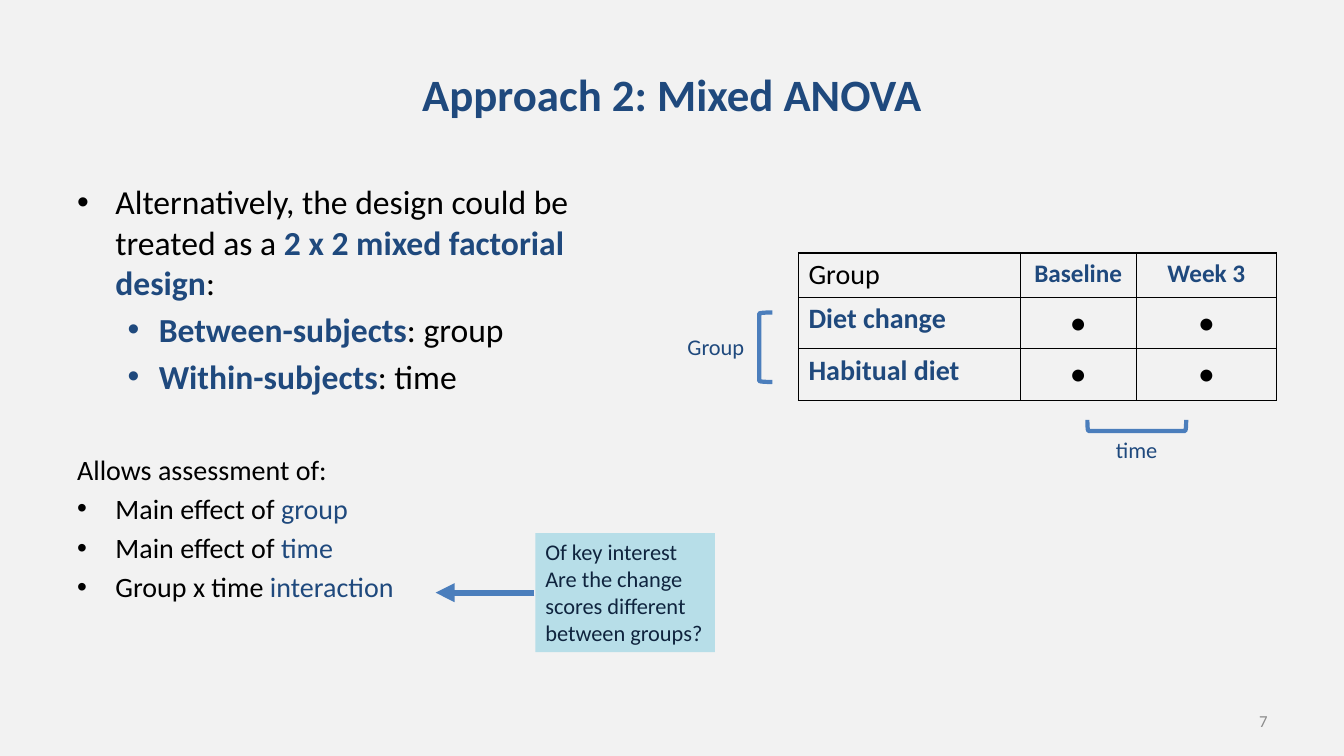
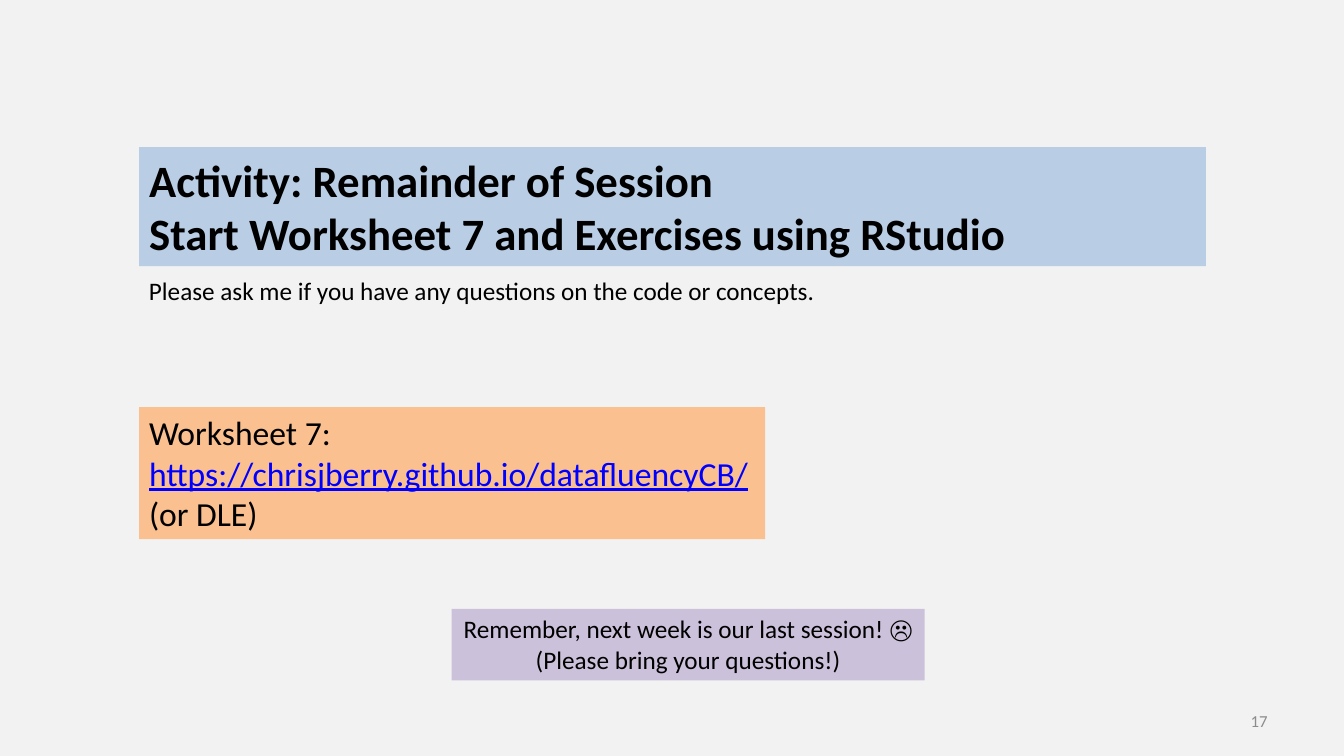
from dataclasses import dataclass

from lxml.etree import SubElement
from pptx import Presentation
from pptx.dml.color import RGBColor
from pptx.enum.shapes import MSO_CONNECTOR, MSO_SHAPE
from pptx.enum.text import MSO_ANCHOR, MSO_AUTO_SIZE, PP_ALIGN
from pptx.oxml.ns import qn
from pptx.util import Inches, Pt


@dataclass(frozen=True)
class Theme:
    font: str = "Calibri"
    background: RGBColor = RGBColor.from_string("F2F2F2")
    text: RGBColor = RGBColor.from_string("000000")
    accent: RGBColor = RGBColor.from_string("1F497D")
    dark: RGBColor = RGBColor.from_string("0F243E")
    line: RGBColor = RGBColor.from_string("4B7EBC")
    link: RGBColor = RGBColor.from_string("0000FF")
    muted: RGBColor = RGBColor.from_string("8C8C8C")
    callout: RGBColor = RGBColor.from_string("B7DEE8")
    band: RGBColor = RGBColor.from_string("B9CDE5")
    worksheet: RGBColor = RGBColor.from_string("FAC090")
    reminder: RGBColor = RGBColor.from_string("CCC1DA")
    title_size: int = 32
    body_size: int = 24
    detail_size: int = 20
    note_size: int = 18
    label_size: int = 16
    number_size: int = 12


THEME = Theme()
ACCENT = {"color": THEME.accent}
STRONG = {"color": THEME.accent, "bold": True}


@dataclass(frozen=True)
class Box:
    left: int
    top: int
    width: int
    height: int

    def region(self, left, top, width, height):
        return Box(
            round(self.left + self.width * left / 100),
            round(self.top + self.height * top / 100),
            round(self.width * width / 100),
            round(self.height * height / 100),
        )

    @property
    def place(self):
        return self.left, self.top, self.width, self.height


PAGE = Box(0, 0, Inches(13.33), Inches(7.5))


def write(frame, *runs, size, color=THEME.text, bold=False, underline=False,
          align=PP_ALIGN.LEFT, before=0, bullet=None):
    paragraph = frame.paragraphs[0]
    if paragraph.runs:
        paragraph = frame.add_paragraph()
    if bullet:
        margin, hanging = bullet
        properties = paragraph._p.get_or_add_pPr()
        properties.set("marL", str(Inches(margin)))
        properties.set("indent", str(-Inches(hanging)))
        SubElement(properties, qn("a:buFont"), typeface="Arial")
        SubElement(properties, qn("a:buChar"), char="•")
    paragraph.alignment = align
    paragraph.space_before = Pt(before)
    for item in runs:
        text, changes = (item, {}) if isinstance(item, str) else item
        run = paragraph.add_run()
        run.text = text
        run.font.name = THEME.font
        run.font.size = Pt(size)
        run.font.color.rgb = changes.get("color", color)
        run.font.bold = changes.get("bold", bold)
        run.font.underline = underline


def add_text_area(slide, box, fill=None, wrap=True, anchor=MSO_ANCHOR.TOP):
    shape = slide.shapes.add_textbox(*box.place)
    if fill is not None:
        shape.fill.solid()
        shape.fill.fore_color.rgb = fill
    frame = shape.text_frame
    frame.word_wrap = wrap
    frame.vertical_anchor = anchor
    return frame


def add_title(slide, box, *lines, color, align, fill=None, anchor=MSO_ANCHOR.MIDDLE):
    title = slide.shapes.title
    title.left, title.top, title.width, title.height = box.place
    if fill is not None:
        title.fill.solid()
        title.fill.fore_color.rgb = fill
    frame = title.text_frame
    frame.auto_size = MSO_AUTO_SIZE.NONE
    frame.vertical_anchor = anchor
    for line in lines:
        write(frame, line, size=THEME.title_size, color=color, bold=True, align=align)


def add_base_slide(presentation, number):
    slide = presentation.slides.add_slide(presentation.slide_layouts[5])
    frame = add_text_area(slide, PAGE.region(71.72, 92.67, 23.33, 5.33),
                          anchor=MSO_ANCHOR.MIDDLE)
    write(frame, str(number), size=THEME.number_size, color=THEME.muted,
          align=PP_ALIGN.RIGHT)
    return slide


def add_bracket(slide, box, rotation=0):
    bracket = slide.shapes.add_shape(MSO_SHAPE.LEFT_BRACKET, *box.place)
    bracket.shadow.inherit = False
    bracket.fill.background()
    bracket.line.color.rgb = THEME.line
    bracket.line.width = Pt(3)
    bracket.rotation = rotation


def add_label(slide, box, text):
    frame = add_text_area(slide, box, wrap=False)
    write(frame, text, size=THEME.label_size, **ACCENT)


def format_cell(cell, text, **style):
    properties = cell._tc.get_or_add_tcPr()
    for side in ("L", "R", "T", "B"):
        border = SubElement(properties, qn(f"a:ln{side}"), w=str(Pt(1)))
        fill = SubElement(border, qn("a:solidFill"))
        SubElement(fill, qn("a:srgbClr"), val=str(THEME.text))
    cell.fill.background()
    write(cell.text_frame, text, **style)


def add_design_table(slide, box):
    rows = (
        ("Group", "Baseline", "Week 3"),
        ("Diet change", "•", "•"),
        ("Habitual diet", "•", "•"),
    )
    table = slide.shapes.add_table(3, 3, *box.place).table
    table.first_row = False
    table.horz_banding = False
    for column, share in zip(table.columns, (46.4, 24.3, 29.3)):
        column.width = round(box.width * share / 100)
    for row, share in zip(table.rows, (30, 35, 35)):
        row.height = round(box.height * share / 100)
    corner = {"size": THEME.detail_size}
    column_head = {"size": THEME.note_size, "align": PP_ALIGN.CENTER, **STRONG}
    row_head = {"size": THEME.detail_size, **STRONG}
    mark = {"size": THEME.body_size, "align": PP_ALIGN.CENTER}
    for row_index, row in enumerate(rows):
        first, other = (row_head, mark) if row_index else (corner, column_head)
        for column_index, text in enumerate(row):
            style = other if column_index else first
            format_cell(table.cell(row_index, column_index), text, **style)


def add_design_panel(slide, box):
    add_design_table(slide, box.region(20.2, 0, 79.8, 66.36))
    add_label(slide, box.region(0, 34.1, 13, 16.8), "Group")
    add_bracket(slide, box.region(13.64, 26.82, 2.19, 31.36))
    add_label(slide, box.region(71.55, 80.45, 10.44, 16.8), "time")
    add_bracket(slide, box.region(75.76, 55.45, 1.85, 44.55), rotation=270)


def add_design_points(slide, box):
    frame = add_text_area(slide, box)
    main_bullet, nested_bullet = (0.38, 0.38), (0.81, 0.31)
    write(frame, "Alternatively, the design could be treated as a ",
          ("2 x 2 mixed factorial design", STRONG), ":",
          size=THEME.body_size, bullet=main_bullet)
    for factor, variable in (("Between-subjects", "group"), ("Within-subjects", "time")):
        write(frame, (factor, STRONG), f": {variable}",
              size=THEME.body_size, before=4.8, bullet=nested_bullet)
    write(frame, "Allows assessment of:", size=THEME.detail_size, before=40)
    for lead, effect in (("Main effect of ", "group"), ("Main effect of ", "time"),
                         ("Group x time ", "interaction")):
        write(frame, lead, (effect, ACCENT),
              size=THEME.detail_size, before=4, bullet=main_bullet)


def add_callout(slide, box):
    shaft = box.region(0, 50, 35.4, 0)
    arrow = slide.shapes.add_connector(
        MSO_CONNECTOR.STRAIGHT, shaft.left + shaft.width, shaft.top,
        shaft.left, shaft.top)
    arrow.line.color.rgb = THEME.line
    arrow.line.width = Pt(4.5)
    properties = arrow._element.spPr
    SubElement(properties.find(qn("a:ln")), qn("a:tailEnd"), type="triangle")
    SubElement(properties, qn("a:effectLst"))
    frame = add_text_area(slide, box.region(35.74, 0, 64.26, 100), fill=THEME.callout)
    for line in ("Of key interest", "Are the change scores different between groups?"):
        write(frame, line, size=THEME.label_size, color=THEME.dark)


def build_design_slide(presentation):
    slide = add_base_slide(presentation, 7)
    add_title(slide, PAGE.region(5, 4, 90, 16.67), "Approach 2: Mixed ANOVA",
              color=THEME.accent, align=PP_ALIGN.CENTER)
    add_design_points(slide, PAGE.region(5, 23.33, 44.7, 66))
    add_design_panel(slide, PAGE.region(50.41, 33.47, 44.56, 29.33))
    add_callout(slide, PAGE.region(32.41, 70.53, 20.78, 15.73))


def add_worksheet(slide, box):
    frame = add_text_area(slide, box, fill=THEME.worksheet, wrap=False)
    write(frame, "Worksheet 7:", size=THEME.body_size)
    write(frame, "https://chrisjberry.github.io/datafluencyCB/",
          size=THEME.body_size, color=THEME.link, underline=True)
    write(frame, "(or DLE)", size=THEME.body_size)


def add_reminder(slide, box):
    frame = add_text_area(slide, box, fill=THEME.reminder, wrap=False)
    for line in ("Remember, next week is our last session! ☹",
                 "(Please bring your questions!)"):
        write(frame, line, size=THEME.note_size, align=PP_ALIGN.CENTER)


def build_activity_slide(presentation):
    slide = add_base_slide(presentation, 17)
    add_title(slide, PAGE.region(10.35, 19.47, 79.37, 15.73),
              "Activity: Remainder of Session",
              "Start Worksheet 7 and Exercises using RStudio",
              color=THEME.text, align=PP_ALIGN.LEFT, fill=THEME.band,
              anchor=MSO_ANCHOR.TOP)
    invitation = add_text_area(slide, PAGE.region(10.35, 35.73, 51.61, 5.33), wrap=False)
    write(invitation, "Please ask me if you have any questions on the code or concepts.",
          size=THEME.note_size)
    add_worksheet(slide, PAGE.region(10.35, 53.87, 46.59, 17.47))
    add_reminder(slide, PAGE.region(33.61, 80.53, 35.18, 9.47))


def main():
    presentation = Presentation()
    presentation.slide_width = PAGE.width
    presentation.slide_height = PAGE.height
    background = presentation.slide_master.background.fill
    background.solid()
    background.fore_color.rgb = THEME.background
    build_design_slide(presentation)
    build_activity_slide(presentation)
    presentation.save("out.pptx")


if __name__ == "__main__":
    main()
